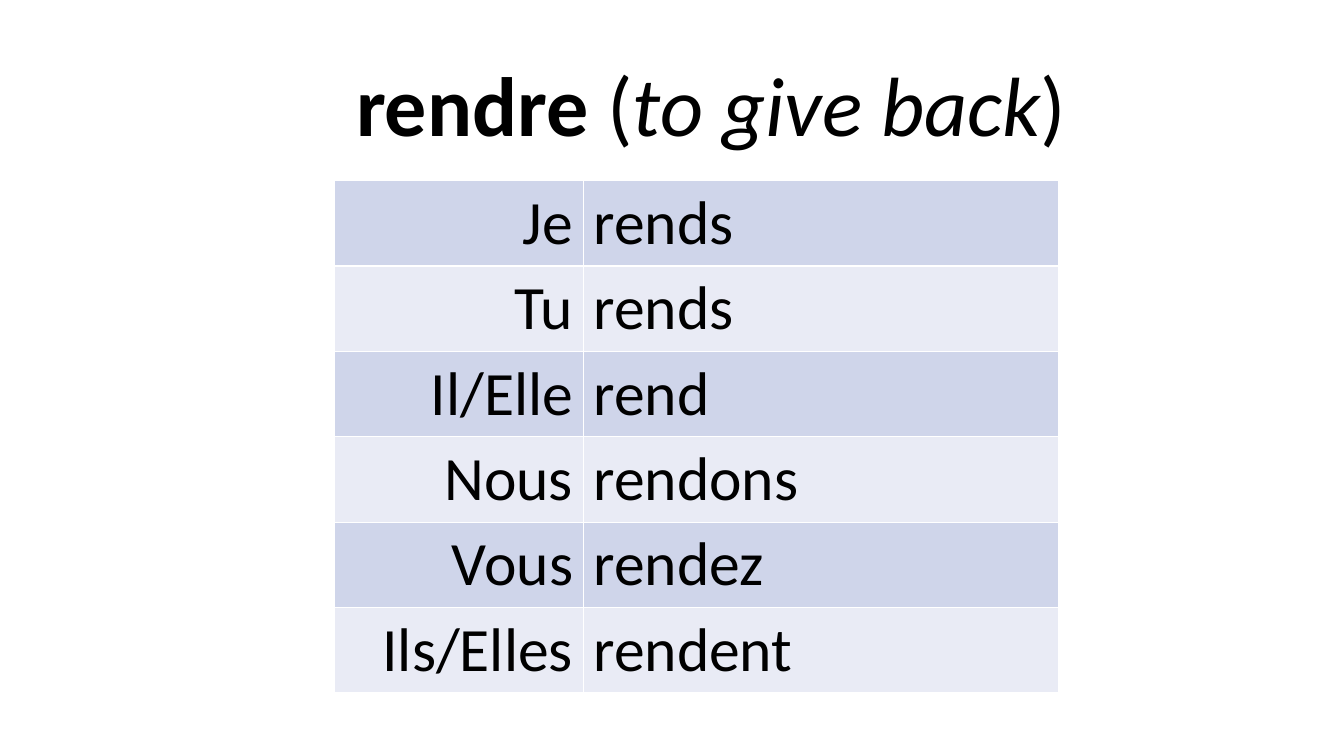
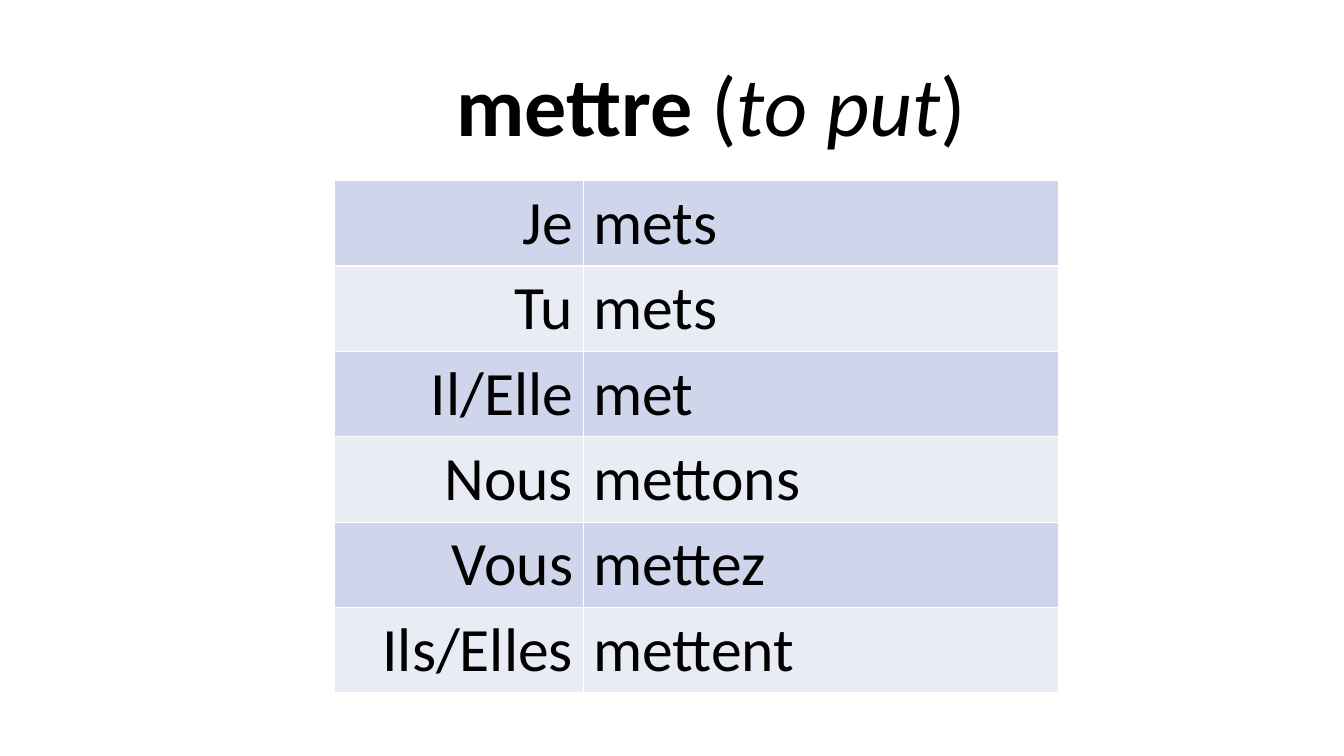
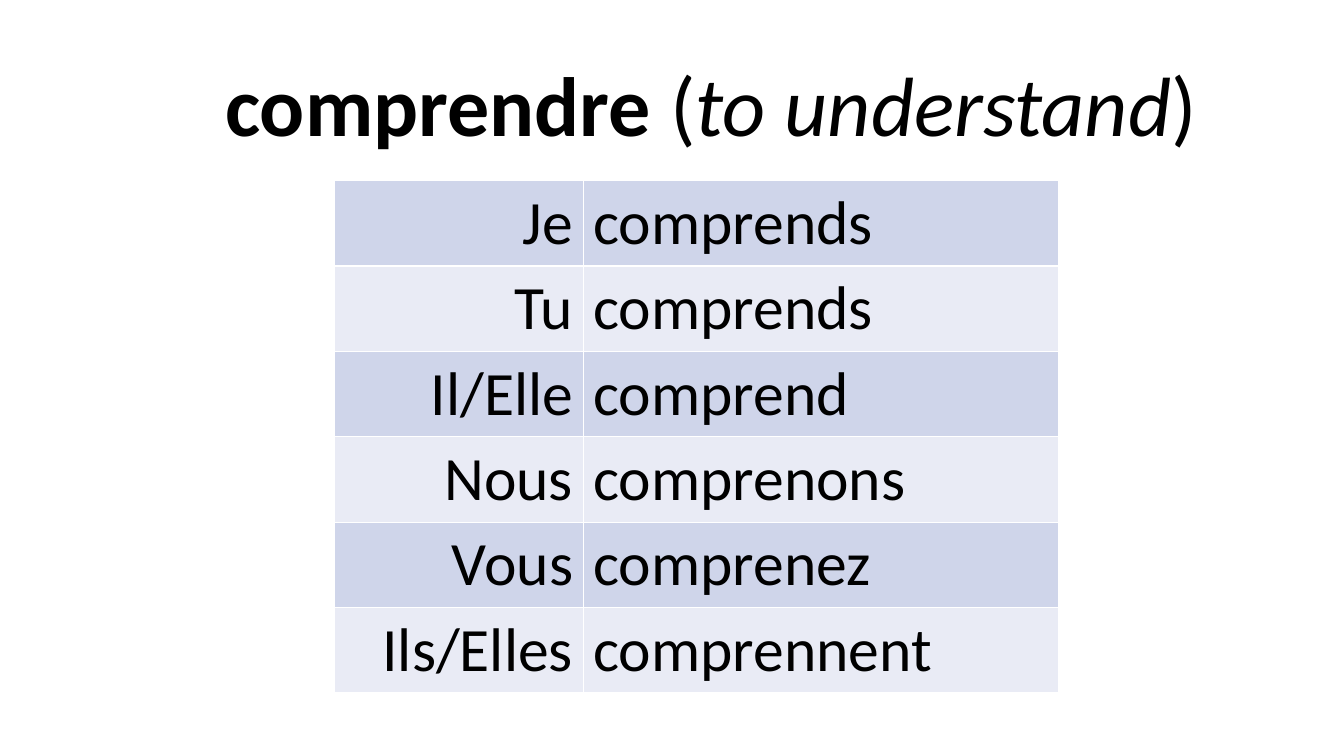
import lxml.etree
import pptx
import pptx.dml.color
import pptx.enum.text
import pptx.oxml.ns
import pptx.util

Cm = pptx.util.Cm
Pt = pptx.util.Pt
RGBColor = pptx.dml.color.RGBColor
Align = pptx.enum.text.PP_ALIGN

BLACK = RGBColor(0x00, 0x00, 0x00)
WHITE = RGBColor(0xFF, 0xFF, 0xFF)
BANDS = (RGBColor(0xCF, 0xD5, 0xEA), RGBColor(0xE9, 0xEB, 0xF5))

PRONOUNS = ("Je", "Tu", "Il/Elle", "Nous", "Vous", "Ils/Elles")
VERBS = (
    ("rendre", "to give back",
     ("rends", "rends", "rend", "rendons", "rendez", "rendent")),
    ("mettre", "to put",
     ("mets", "mets", "met", "mettons", "mettez", "mettent")),
    ("comprendre", "to understand",
     ("comprends", "comprends", "comprend",
      "comprenons", "comprenez", "comprennent")),
)


class VerbDeck:
    FONT = "Calibri"
    TITLE_SIZE = Pt(60)
    CELL_SIZE = Pt(44)
    COLUMN_WIDTHS = (Cm(6.27), Cm(11.99))
    ROW_HEIGHT = Cm(2.15)
    TITLE_ONLY = 5

    def __init__(self):
        self.deck = pptx.Presentation()
        self.deck.slide_width = Cm(33.87)
        self.deck.slide_height = Cm(19.05)
        self.slide = None

    def add_slide(self):
        layout = self.deck.slide_layouts[self.TITLE_ONLY]
        self.slide = self.deck.slides.add_slide(layout)

    def add_run(self, para, text, size, bold=False, italic=False):
        run = para.add_run()
        run.text = text
        run.font.name = self.FONT
        run.font.size = size
        run.font.bold = bold
        run.font.italic = italic
        run.font.color.rgb = BLACK

    def add_title(self, verb, meaning):
        title = self.slide.shapes.title
        title.left, title.top = Cm(4.24), Cm(1.12)
        title.width, title.height = Cm(27.36), Cm(2.9)
        frame = title.text_frame
        frame.word_wrap = True
        frame.auto_size = pptx.enum.text.MSO_AUTO_SIZE.NONE
        frame.vertical_anchor = pptx.enum.text.MSO_ANCHOR.BOTTOM
        para = frame.paragraphs[0]
        para.alignment = Align.CENTER
        para.line_spacing = 0.9
        self.add_run(para, verb, self.TITLE_SIZE, bold=True)
        self.add_run(para, " (", self.TITLE_SIZE)
        self.add_run(para, meaning, self.TITLE_SIZE, italic=True)
        self.add_run(para, ")", self.TITLE_SIZE)

    def add_borders(self, cell):
        properties = cell._tc.get_or_add_tcPr()
        qn = pptx.oxml.ns.qn
        for side in ("a:lnL", "a:lnR", "a:lnT", "a:lnB"):
            line = lxml.etree.SubElement(properties, qn(side), w=str(Pt(1)))
            fill = lxml.etree.SubElement(line, qn("a:solidFill"))
            lxml.etree.SubElement(fill, qn("a:srgbClr"), val=str(WHITE))

    def add_cell(self, cell, text, alignment, band):
        self.add_borders(cell)
        cell.fill.solid()
        cell.fill.fore_color.rgb = band
        para = cell.text_frame.paragraphs[0]
        para.alignment = alignment
        self.add_run(para, text, self.CELL_SIZE)

    def add_conjugation(self, forms):
        """Add a banded table pairing each pronoun with its verb form."""
        table = self.slide.shapes.add_table(
            len(forms), len(self.COLUMN_WIDTHS), Cm(8.43), Cm(4.55),
            sum(self.COLUMN_WIDTHS), self.ROW_HEIGHT * len(forms)).table
        table.first_row = False
        table.horz_banding = False
        for column, width in zip(table.columns, self.COLUMN_WIDTHS):
            column.width = width
        for index, (pronoun, form) in enumerate(zip(PRONOUNS, forms)):
            band = BANDS[index % len(BANDS)]
            self.add_cell(table.cell(index, 0), pronoun, Align.RIGHT, band)
            self.add_cell(table.cell(index, 1), form, Align.LEFT, band)


def main():
    builder = VerbDeck()
    for verb, meaning, forms in VERBS:
        builder.add_slide()
        builder.add_title(verb, meaning)
        builder.add_conjugation(forms)
    builder.deck.save("out.pptx")


if __name__ == "__main__":
    main()
